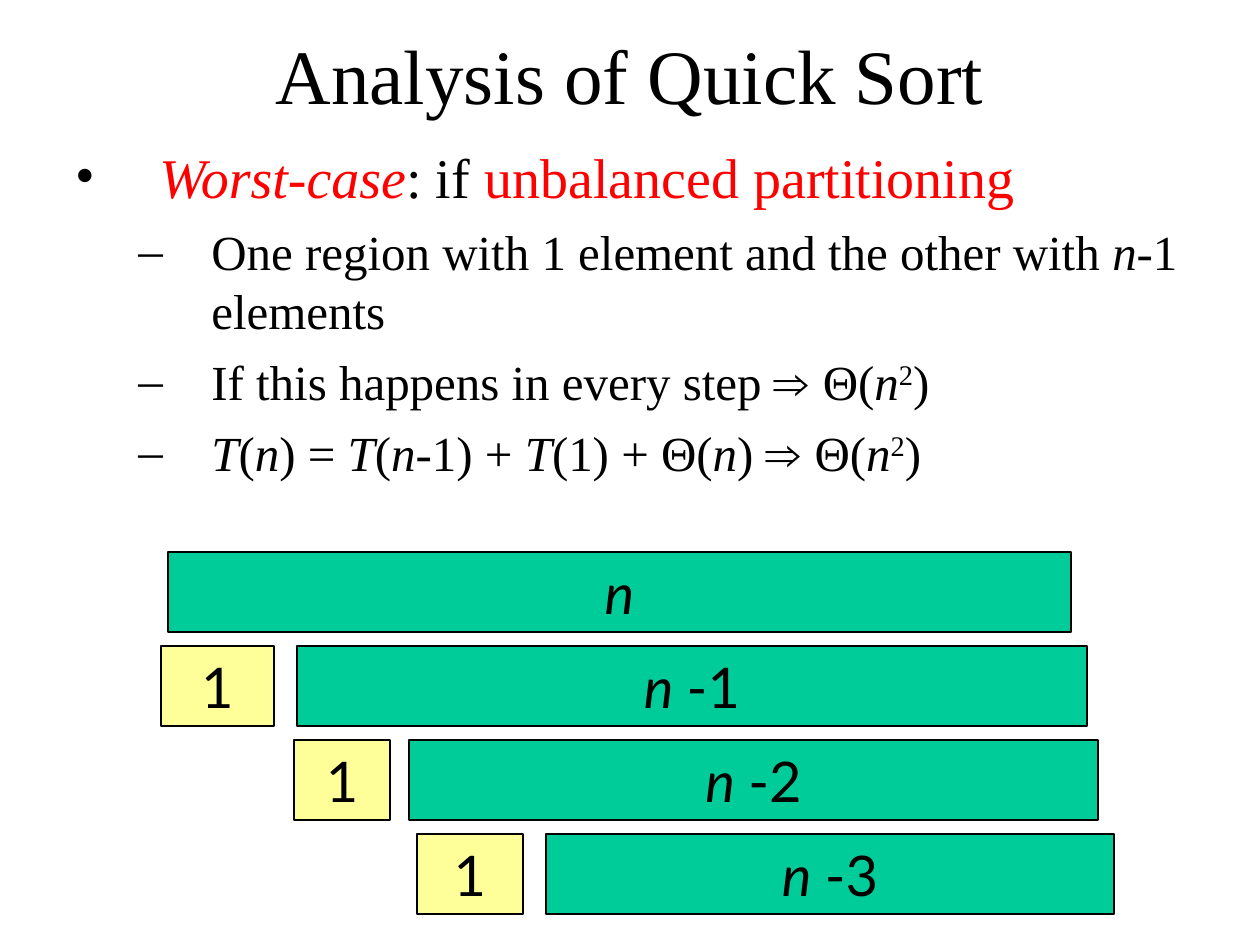
from dataclasses import dataclass
from typing import NamedTuple

from lxml.etree import SubElement
from pptx import Presentation
from pptx.dml.color import RGBColor
from pptx.enum.shapes import MSO_SHAPE
from pptx.enum.text import MSO_ANCHOR, PP_ALIGN
from pptx.oxml.ns import qn
from pptx.util import Emu, Pt

PX_PER_INCH = 126


def px(length: int) -> Emu:
    return Emu(round(length * 914400 / PX_PER_INCH))


@dataclass(frozen=True)
class Theme:
    ink: RGBColor = RGBColor(0, 0, 0)
    accent: RGBColor = RGBColor(0xFF, 0, 0)
    remainder: RGBColor = RGBColor(0, 0xCC, 0x99)
    single: RGBColor = RGBColor(0xFF, 0xFF, 0x99)
    serif: str = "Times New Roman"
    sans: str = "Lato"
    symbol: str = "Arial"
    title: int = 44
    main: int = 32
    sub: int = 28


THEME = Theme()


class Piece(NamedTuple):
    text: str
    italic: bool = False
    color: RGBColor = THEME.ink
    font: str = THEME.serif
    raised: bool = False


class Level(NamedTuple):
    bullet: str
    indent: int
    hanging: int
    size: int
    space_before: int


class Item(NamedTuple):
    level: int
    pieces: list[Piece]


class Block(NamedTuple):
    left: int
    width: int
    fill: RGBColor
    pieces: list[Piece]


LEVELS = [Level("•", 84, 84, THEME.main, 0), Level("–", 136, 73, THEME.sub, 7)]


def variable(name: str) -> Piece:
    return Piece(name, italic=True)


N, T = variable("n"), variable("T")
QUADRATIC = [Piece("⇒ ", font=THEME.symbol), Piece("Θ("), N,
             Piece("2", raised=True), Piece(")")]

ITEMS = [
    Item(0, [Piece("Worst-case", True, THEME.accent), Piece(": if "),
             Piece("unbalanced partitioning", color=THEME.accent)]),
    Item(1, [Piece("One region with 1 element and the other with "), N,
             Piece("-1 elements")]),
    Item(1, [Piece("If this happens in every step "), *QUADRATIC]),
    Item(1, [T, Piece("("), N, Piece(") = "), T, Piece("("), N, Piece("-1) + "),
             T, Piece("(1) + Θ("), N, Piece(") "), *QUADRATIC]),
]


def single(left: int, width: int) -> Block:
    return Block(left, width, THEME.single, [Piece("1", font=THEME.sans)])


def remainder(left: int, width: int, removed: int) -> Block:
    """The block still to be sorted after some elements are split off."""
    pieces = [Piece("n " if removed else "n", True, font=THEME.sans)]
    if removed:
        pieces.append(Piece(f"-{removed}", font=THEME.sans))
    return Block(left, width, THEME.remainder, pieces)


PARTITIONS = [
    [remainder(168, 903, 0)],
    [remainder(297, 790, 1), single(161, 113)],
    [remainder(409, 689, 2), single(294, 96)],
    [remainder(546, 568, 3), single(417, 106)],
]
PARTITION_TOP, PARTITION_PITCH, BLOCK_HEIGHT = 552, 94, 80


def write_pieces(paragraph, pieces: list[Piece], size: int) -> None:
    for piece in pieces:
        run = paragraph.add_run()
        run.text = piece.text
        run.font.size = Pt(size)
        run.font.name = piece.font
        run.font.italic = piece.italic
        run.font.color.rgb = piece.color
        if piece.raised:
            run.font._element.set("baseline", "30000")


def set_bullet(paragraph, level: Level) -> None:
    properties = paragraph._p.get_or_add_pPr()
    properties.set("marL", str(px(level.indent)))
    properties.set("indent", str(-px(level.hanging)))
    color = SubElement(properties, qn("a:buClr"))
    SubElement(color, qn("a:srgbClr"), val=str(THEME.ink))
    SubElement(properties, qn("a:buFont"), typeface=THEME.serif)
    SubElement(properties, qn("a:buChar"), char=level.bullet)


def add_text_box(slide, left: int, top: int, width: int, height: int):
    frame = slide.shapes.add_textbox(px(left), px(top), px(width), px(height)).text_frame
    frame.word_wrap = True
    return frame


def add_title(slide, text: str) -> None:
    frame = add_text_box(slide, 63, 21, 1134, 105)
    frame.vertical_anchor = MSO_ANCHOR.MIDDLE
    heading = frame.paragraphs[0]
    heading.alignment = PP_ALIGN.CENTER
    write_pieces(heading, [Piece(text)], THEME.title)


def add_outline(slide, items: list[Item]) -> None:
    frame = add_text_box(slide, 63, 136, 1134, 388)
    for index, item in enumerate(items):
        paragraph = frame.add_paragraph() if index else frame.paragraphs[0]
        level = LEVELS[item.level]
        paragraph.level = item.level
        if index:
            paragraph.space_before = Pt(level.space_before)
        set_bullet(paragraph, level)
        write_pieces(paragraph, item.pieces, level.size)


def add_block(slide, block: Block, top: int) -> None:
    shape = slide.shapes.add_shape(MSO_SHAPE.RECTANGLE, px(block.left), px(top),
                                   px(block.width), px(BLOCK_HEIGHT))
    shape.shadow.inherit = False
    shape.fill.solid()
    shape.fill.fore_color.rgb = block.fill
    shape.line.color.rgb = THEME.ink
    shape.line.width = Pt(0.75)
    frame = shape.text_frame
    frame.word_wrap = True
    frame.vertical_anchor = MSO_ANCHOR.TOP
    label = frame.paragraphs[0]
    label.alignment = PP_ALIGN.CENTER
    write_pieces(label, block.pieces, THEME.main)


def main() -> None:
    presentation = Presentation()
    presentation.slide_width, presentation.slide_height = px(1260), px(945)
    slide = presentation.slides.add_slide(presentation.slide_layouts[6])
    add_title(slide, "Analysis of Quick Sort")
    add_outline(slide, ITEMS)
    for row, blocks in enumerate(PARTITIONS):
        for block in blocks:
            add_block(slide, block, PARTITION_TOP + row * PARTITION_PITCH)
    presentation.save("out.pptx")


if __name__ == "__main__":
    main()
